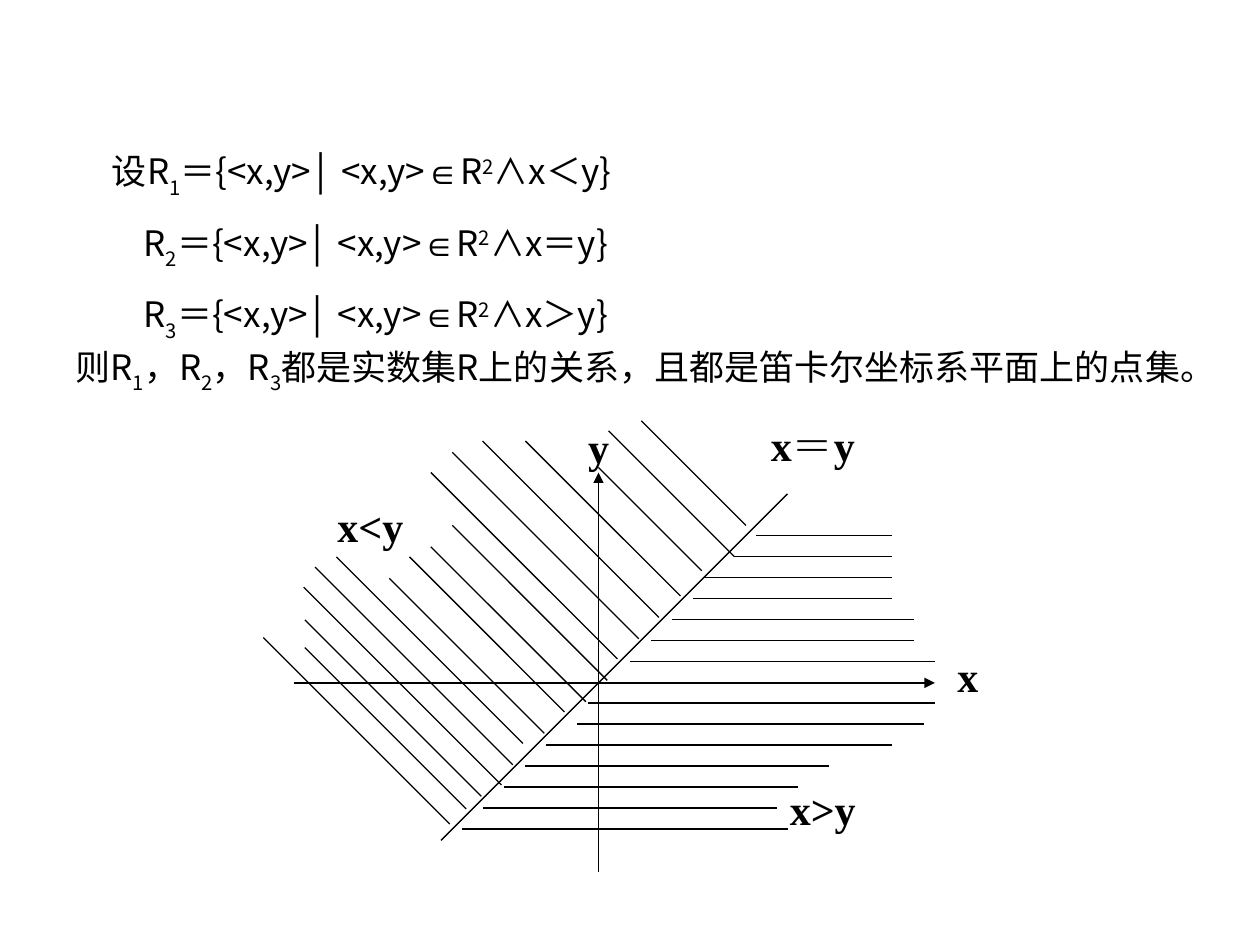
"""Build a slide showing three relations on the real plane as hatched regions."""
import lxml.etree
import pptx
import pptx.dml.color
import pptx.enum.shapes
import pptx.enum.text
import pptx.oxml.ns
import pptx.util
from pptx.util import Inches

THEME = {
    "ink": pptx.dml.color.RGBColor(0, 0, 0),
    "body_font": "Noto Sans CJK SC",
    "symbol_font": "Arial",
    "label_font": "Times New Roman",
    "body_size": pptx.util.Pt(20),
    "label_size": pptx.util.Pt(24),
    "line_width": pptx.util.Pt(0.75),
    "paragraph_gap": pptx.util.Pt(12.5),
}
SUBSCRIPT, SUPERSCRIPT = "-30000", "30000"


def add_run(paragraph, text, font="body_font", size="body_size", bold=False, baseline=None):
    run = paragraph.add_run()
    run.text = text
    run.font.name = THEME[font]
    run.font.size = THEME[size]
    run.font.bold = bold
    run.font.color.rgb = THEME["ink"]
    properties = run._r.get_or_add_rPr()
    latin = properties.find(pptx.oxml.ns.qn("a:latin"))
    east_asian = lxml.etree.Element(pptx.oxml.ns.qn("a:ea"), typeface=THEME[font])
    latin.addnext(east_asian)
    if baseline:
        properties.set("baseline", baseline)


def add_line(start_x, start_y, end_x, end_y, arrow=False):
    line = slide.shapes.add_connector(
        pptx.enum.shapes.MSO_CONNECTOR.STRAIGHT,
        Inches(start_x), Inches(start_y), Inches(end_x), Inches(end_y))
    line.line.color.rgb = THEME["ink"]
    line.line.width = THEME["line_width"]
    if arrow:
        lxml.etree.SubElement(line.line._get_or_add_ln(), pptx.oxml.ns.qn("a:tailEnd"), type="triangle")
    lxml.etree.SubElement(line._element.spPr, pptx.oxml.ns.qn("a:effectLst"))


presentation = pptx.Presentation()
presentation.slide_width = Inches(10)
presentation.slide_height = Inches(7.5)
slide = presentation.slides.add_slide(presentation.slide_layouts[6])

definitions = slide.shapes.add_textbox(Inches(0.42), Inches(1.14), Inches(9.08), Inches(1.63))
definitions.text_frame.word_wrap = True
for index, (lead, sign, indent) in enumerate([("设R", "＜", 0.37), ("R", "＝", 0.62), ("R", "＞", 0.62)]):
    if index == 0:
        paragraph = definitions.text_frame.paragraphs[0]
    else:
        paragraph = definitions.text_frame.add_paragraph()
        paragraph.space_before = THEME["paragraph_gap"]
    paragraph._p.get_or_add_pPr().set("marL", str(Inches(indent)))
    add_run(paragraph, lead)
    add_run(paragraph, str(index + 1), baseline=SUBSCRIPT)
    add_run(paragraph, "＝{<x,y>")
    add_run(paragraph, "│", font="symbol_font")
    add_run(paragraph, " <x,y>")
    add_run(paragraph, "∈", font="symbol_font")
    add_run(paragraph, "R")
    add_run(paragraph, "2", baseline=SUPERSCRIPT)
    add_run(paragraph, f"∧x{sign}y}}")

conclusion = slide.shapes.add_textbox(Inches(0.5), Inches(2.69), Inches(9.5), Inches(0.5))
conclusion.text_frame.word_wrap = True
paragraph = conclusion.text_frame.paragraphs[0]
for lead, number in [("则R", "1"), ("，R", "2"), ("，R", "3")]:
    add_run(paragraph, lead)
    add_run(paragraph, number, baseline=SUBSCRIPT)
add_run(paragraph, "都是实数集R上的关系，且都是笛卡尔坐标系平面上的点集。")

add_line(2.33, 5.42, 7.42, 5.42, arrow=True)
add_line(4.75, 6.92, 4.75, 3.75, arrow=True)
add_line(6.25, 3.92, 3.5, 6.67)

labels = [
    ("x＝y", 6.02, 3.28),
    ("x<y", 2.58, 3.92),
    ("x>y", 6.17, 6.17),
    ("x", 7.5, 5.11),
    ("y", 4.57, 3.3),
]
for text, left, top in labels:
    label = slide.shapes.add_textbox(Inches(left), Inches(top), Inches(1.33), Inches(0.5))
    label.text_frame.word_wrap = True
    add_run(label.text_frame.paragraphs[0], text, font="label_font", size="label_size", bold=True)

upper_rows = [(6, 7.08), (5.83, 7.08), (5.58, 7.08), (5.5, 7.08), (5.33, 7.25), (5.17, 7.25), (5, 7.42)]
lower_rows = [(4.67, 7.42), (4.58, 7.33), (4.33, 7.08), (4.17, 6.58), (4, 6.33), (3.83, 6.17), (3.67, 6.25)]
for first_top, rows in [(4.25, upper_rows), (5.58, lower_rows)]:
    for index, (start, end) in enumerate(rows):
        top = first_top + index / 6
        add_line(start, top, end, top)

diagonals = [
    (5.92, 4.17, 0.83), (5.83, 4.42, 1), (5.57, 4.53, 0.82), (5.4, 4.73, 1.23),
    (5.23, 4.9, 1.4), (5.07, 5.07, 1.48), (4.9, 5.23, 1.48), (4.82, 5.4, 1.23),
    (4.65, 5.57, 1.23), (4.48, 5.65, 1.23), (4.32, 5.82, 1.23), (4.15, 5.9, 1.48),
    (4.07, 6.07, 1.57), (3.98, 6.23, 1.57), (3.82, 6.32, 1.4), (3.7, 6.42, 1.28),
    (3.57, 6.54, 1.48),
]
for start_x, start_y, reach in diagonals:
    add_line(start_x, start_y, start_x - reach, start_y - reach)

presentation.save("out.pptx")
